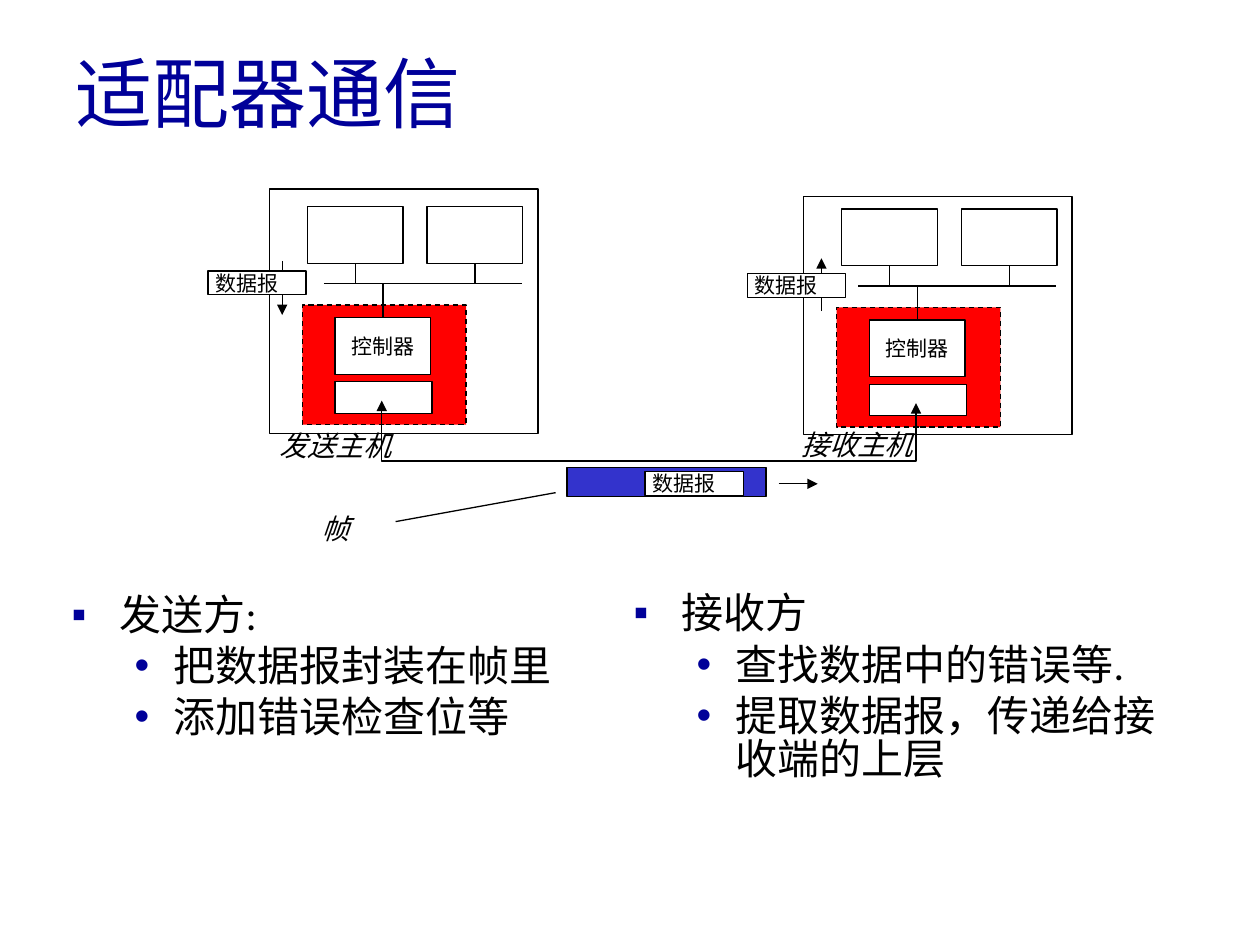
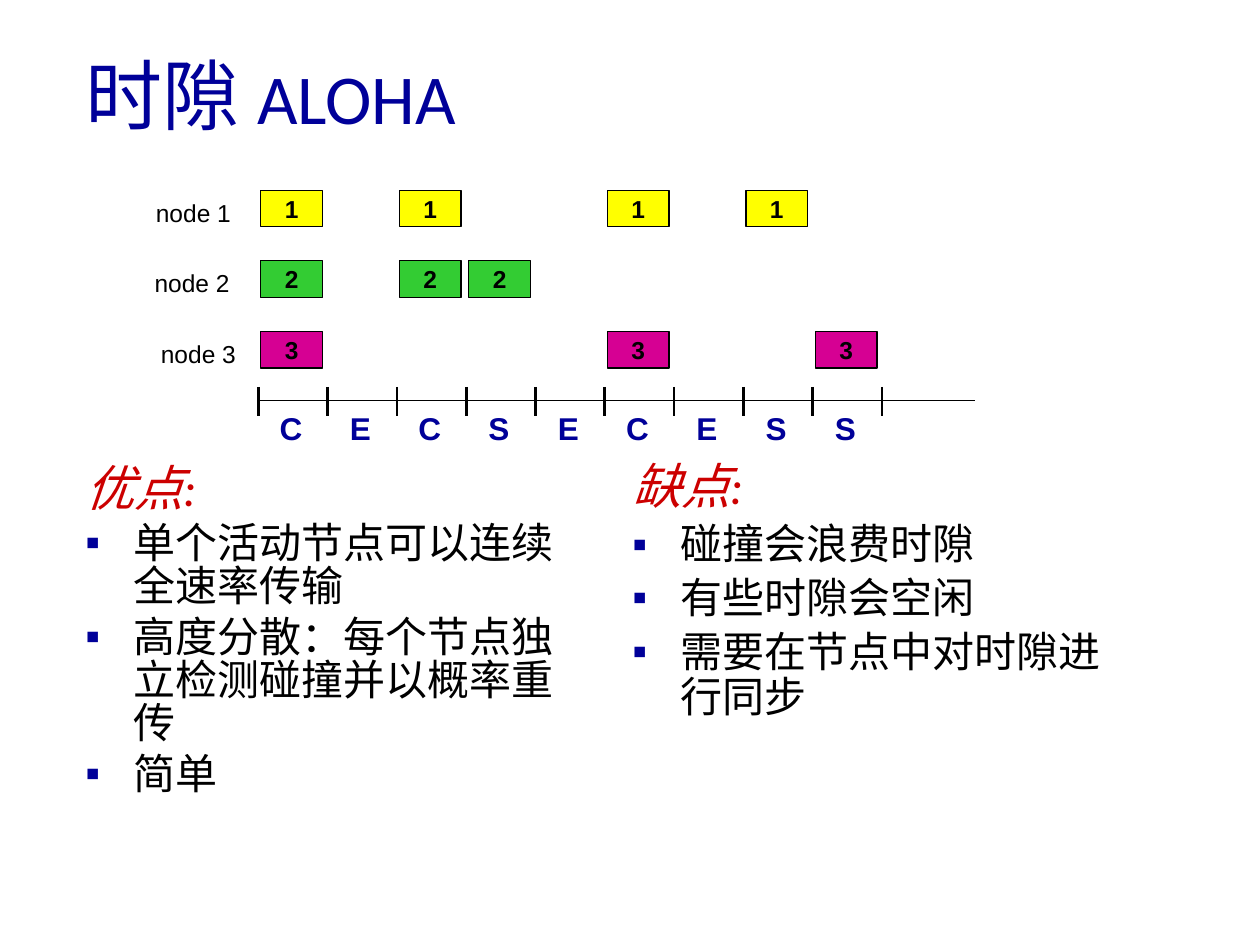
from lxml.etree import SubElement
from pptx import Presentation
from pptx.dml.color import RGBColor
from pptx.enum.dml import MSO_LINE
from pptx.enum.shapes import MSO_CONNECTOR, MSO_SHAPE
from pptx.enum.text import MSO_ANCHOR, MSO_AUTO_SIZE, PP_ALIGN
from pptx.oxml.ns import qn
from pptx.util import Inches, Pt

color = RGBColor.from_string
NAVY, BLACK, WHITE, RED = "000099", "000000", "FFFFFF", "FF0000"
DARK_RED, BLUE = "CC0000", "3333CC"
YELLOW, GREEN, MAGENTA = "FFFF00", "33CC33", "D60093"
BODY_FONT, LABEL_FONT = "Calibri", "Arial"


def add_box(slide, left, top, width, height, fill=None, text="", size=12, ink=BLACK,
            bold=False, italic=False, align=PP_ALIGN.CENTER, inset=0):
    """Outlined rectangle when a fill is given, otherwise a plain label."""
    place = [Inches(value) for value in (left, top, width, height)]
    if fill:
        box = slide.shapes.add_shape(MSO_SHAPE.RECTANGLE, *place)
        box.shadow.inherit = False
        box.fill.solid()
        box.fill.fore_color.rgb = color(fill)
        box.line.color.rgb = color(BLACK)
        box.line.width = Pt(0.75)
    else:
        box = slide.shapes.add_textbox(*place)
    if text:
        frame = box.text_frame
        frame.word_wrap = True
        frame.vertical_anchor = MSO_ANCHOR.MIDDLE
        frame.margin_left = Inches(inset)
        frame.margin_right = frame.margin_top = frame.margin_bottom = 0
        frame.text = text
        para = frame.paragraphs[0]
        para.alignment = align
        font = para.runs[0].font
        font.name, font.size, font.bold, font.italic = LABEL_FONT, Pt(size), bold, italic
        font.color.rgb = color(ink)
    return box


def add_line(slide, x1, y1, x2, y2, weight=0.75, arrow=False):
    line = slide.shapes.add_connector(
        MSO_CONNECTOR.STRAIGHT, Inches(x1), Inches(y1), Inches(x2), Inches(y2))
    line.line.color.rgb = color(BLACK)
    line.line.width = Pt(weight)
    if arrow:
        SubElement(line.line._get_or_add_ln(), qn("a:tailEnd"), type="triangle")
    SubElement(line._element.spPr, qn("a:effectLst"))
    return line


deck = Presentation()
deck.slide_width, deck.slide_height = Inches(10), Inches(7.5)

# Titles: place, then (text, size) pieces
titles = [
    ((0.5, 0.1, 8.5, 1.25), [("适配器通信", 44)]),
    ((0.58, 0.12, 5.42, 1.25), [("时隙 ", 44), ("ALOHA", 40)]),
]
for place, pieces in titles:
    title = deck.slides.add_slide(deck.slide_layouts[5]).shapes.title
    title.left, title.top, title.width, title.height = map(Inches, place)
    frame = title.text_frame
    frame.auto_size = MSO_AUTO_SIZE.NONE
    frame.vertical_anchor = MSO_ANCHOR.MIDDLE
    para = frame.paragraphs[0]
    para.alignment = PP_ALIGN.LEFT
    for text, size in pieces:
        span = para.add_run()
        span.text = text
        span.font.name, span.font.size = BODY_FONT, Pt(size)
        span.font.color.rgb = color(NAVY)
adapters, aloha = deck.slides

# Adapter slide: the two hosts
# name, frame (top, height), offset of the parts, label place, datagram place, flow (x, from, to)
hosts = [
    ("发送主机", (1.5, 1.94), (0, 0), (2.22, 3.35), (1.65, 2.15), (2.24, 2.07, 2.5)),
    ("接收主机", (1.56, 1.89), (4.24, 0.02), (6.36, 3.34), (5.93, 2.17), (6.52, 2.47, 2.05)),
]
for name, (top, height), (dx, dy), label, datagram, (flow_x, start, end) in hosts:
    add_box(adapters, 2.14 + dx, top, 2.13, height, WHITE)
    card = add_box(adapters, 2.4 + dx, 2.42 + dy, 1.3, 0.95, RED)
    card.line.dash_style = MSO_LINE.DASH
    add_box(adapters, 2.66 + dx, 3.03 + dy, 0.77, 0.25, WHITE)
    controller = add_box(adapters, 2.66 + dx, 2.52 + dy, 0.76, 0.45, WHITE, "控制器")
    bus_y = 2.25 + dy
    add_line(adapters, 2.57 + dx, bus_y, 4.14 + dx, bus_y)
    wire = add_line(adapters, 3.04 + dx, 2.52 + dy, 3.04 + dx, bus_y)
    wire.begin_connect(controller, 0)
    for left in (2.44, 3.39):
        part = add_box(adapters, left + dx, 1.64 + dy, 0.76, 0.45, WHITE)
        wire = add_line(adapters, left + 0.38 + dx, 2.09 + dy, left + 0.38 + dx, bus_y)
        wire.begin_connect(part, 2)
    add_box(adapters, *label, 1.1, 0.37, text=name, size=16, italic=True, align=PP_ALIGN.LEFT)
    add_line(adapters, flow_x, start, flow_x, end, arrow=True)
    add_box(adapters, *datagram, 0.78, 0.19, WHITE, "数据报", align=PP_ALIGN.LEFT, inset=0.06)

# Link between the adapters
outline = adapters.shapes.build_freeform(Inches(3.03), Inches(3.18))
outline.add_line_segments(
    [(Inches(x), Inches(y)) for x, y in ((3.03, 3.66), (7.27, 3.66), (7.27, 3.2))], close=False)
link = outline.convert_to_shape()
link.shadow.inherit = False
link.fill.background()
link.line.color.rgb = color(BLACK)
link.line.width = Pt(0.75)
for end in ("a:headEnd", "a:tailEnd"):
    SubElement(link.line._get_or_add_ln(), qn(end), type="triangle")

# Frame carrying the datagram
add_box(adapters, 4.5, 3.71, 1.58, 0.23, BLUE)
add_box(adapters, 5.12, 3.74, 0.78, 0.19, WHITE, "数据报", align=PP_ALIGN.LEFT, inset=0.06)
add_line(adapters, 6.18, 3.84, 6.49, 3.84, arrow=True)
add_box(adapters, 2.55, 4.01, 0.43, 0.37, text="帧", size=16, italic=True, align=PP_ALIGN.LEFT)
add_line(adapters, 3.14, 4.14, 4.41, 3.91)

# ALOHA slide: slots sent by each node
axis_x, slot = 2.05, 0.55
nodes = [
    (1.14, YELLOW, (0, 2, 5, 7)),
    (1.13, GREEN, (0, 2, 3)),
    (1.18, MAGENTA, (0, 5, 8)),
]
for row, (label_x, fill, sent) in enumerate(nodes):
    top = 1.51 + 0.56 * row
    add_box(aloha, label_x, top + 0.01, 0.79, 0.33, text=f"node {row + 1}", size=14)
    for index in sent:
        add_box(aloha, axis_x + 0.02 + slot * index, top, 0.49, 0.29, fill,
                str(row + 1), size=14, bold=True)

# Time axis and slot outcomes
add_line(aloha, axis_x, 3.18, 7.74, 3.18)
for index in range(10):
    tick_x = axis_x + slot * index
    add_line(aloha, tick_x, 3.07, tick_x, 3.3, weight=1.5)
for index, outcome in enumerate("CECSECESS"):
    add_box(aloha, axis_x + 0.07 + slot * index, 3.2, 0.38, 0.4, text=outcome,
            size=18, ink=NAVY, bold=True)

# Text columns on both slides; styles give bullet, left margin, hang, size, ink
styles = {
    "heading": (None, 0.38, 0.38, 28, DARK_RED),
    "item": ("▪", 0.38, 0.38, 24, BLACK),
    "detail": ("•", 0.81, 0.31, 24, BLACK),
}
columns = [
    (adapters, (0.47, 4.68, 4.45, 2.12), 0.85, [
        ("item", "发送方:"),
        ("detail", "把数据报封装在帧里"),
        ("detail", "添加错误检查位等")]),
    (adapters, (4.93, 4.67, 4.47, 2.02), 0.85, [
        ("item", "接收方"),
        ("detail", "查找数据中的错误等."),
        ("detail", "提取数据报，传递给接收端的上层")]),
    (aloha, (0.58, 3.65, 4.17, 3.5), 0.85, [
        ("heading", "优点:"),
        ("item", "单个活动节点可以连续全速率传输"),
        ("item", "高度分散：每个节点独立检测碰撞并以概率重传"),
        ("item", "简单")]),
    (aloha, (4.92, 3.62, 4.17, 3.5), 0.9, [
        ("heading", "缺点:"),
        ("item", "碰撞会浪费时隙"),
        ("item", "有些时隙会空闲"),
        ("item", "需要在节点中对时隙进行同步")]),
]
for slide, place, spacing, entries in columns:
    frame = slide.shapes.add_textbox(*map(Inches, place)).text_frame
    frame.word_wrap = True
    frame.text = "\n".join(text for _, text in entries)
    for para, (style, _) in zip(frame.paragraphs, entries):
        bullet, margin, hang, size, ink = styles[style]
        para.level = int(style == "detail")
        para.line_spacing = spacing
        para.space_before = Pt(size * 0.2)
        font = para.runs[0].font
        font.name, font.size, font.italic = BODY_FONT, Pt(size), style == "heading"
        font.color.rgb = color(ink)
        props = para._p.get_or_add_pPr()
        props.set("marL", str(Inches(margin)))
        props.set("indent", str(-Inches(hang)))
        if bullet:
            SubElement(SubElement(props, qn("a:buClr")), qn("a:srgbClr"), val=NAVY)
            SubElement(props, qn("a:buFont"), typeface=LABEL_FONT)
            SubElement(props, qn("a:buChar"), char=bullet)

deck.save("out.pptx")
